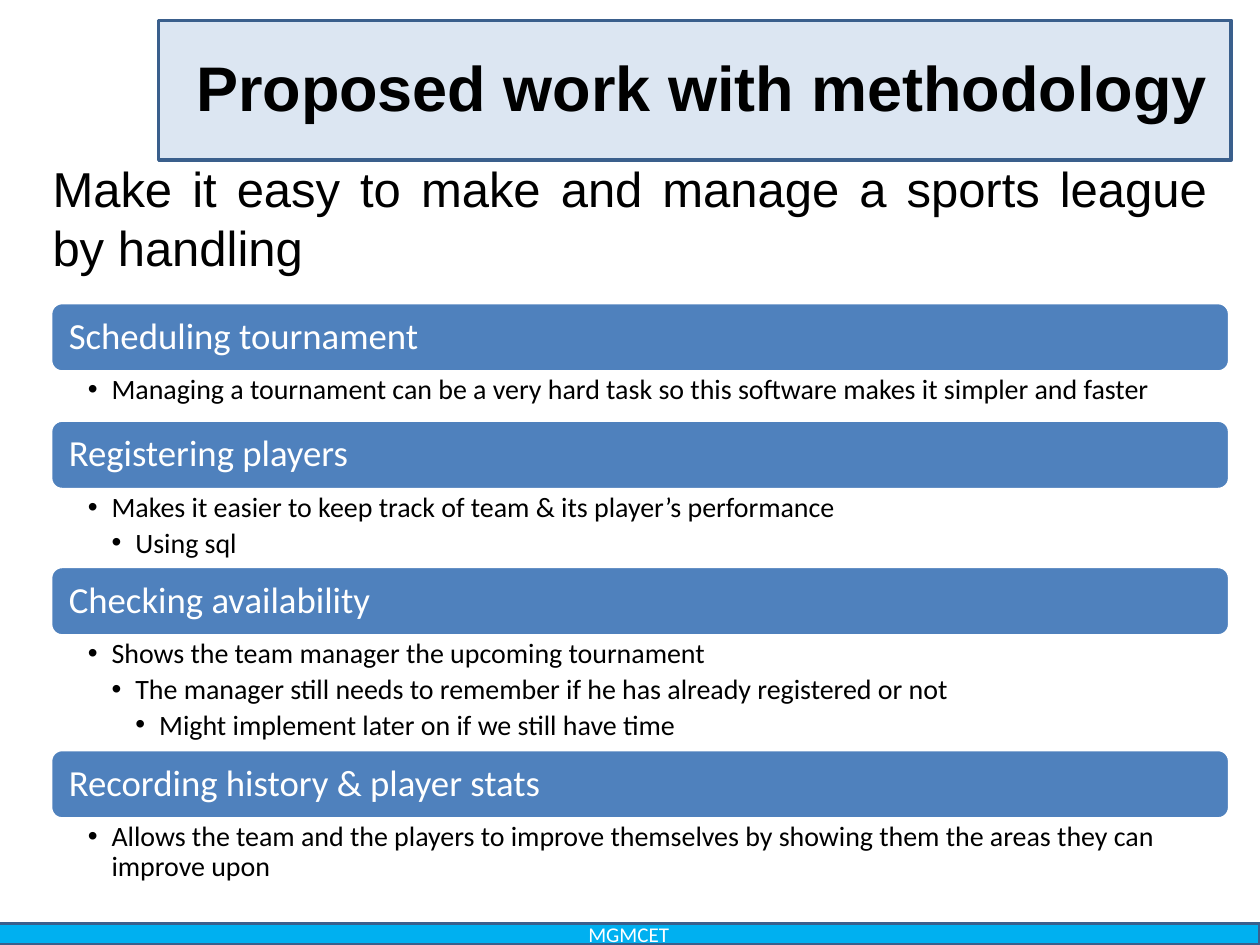
from lxml import etree
from pptx import Presentation
from pptx.dml.color import RGBColor
from pptx.enum.shapes import MSO_SHAPE
from pptx.enum.text import MSO_ANCHOR, PP_ALIGN
from pptx.oxml.ns import qn
from pptx.util import Cm, Pt

RECTANGLE, ROUNDED = MSO_SHAPE.RECTANGLE, MSO_SHAPE.ROUNDED_RECTANGLE
TOP, MIDDLE = MSO_ANCHOR.TOP, MSO_ANCHOR.MIDDLE
LEFT, CENTER, JUSTIFY = PP_ALIGN.LEFT, PP_ALIGN.CENTER, PP_ALIGN.JUSTIFY

BLACK = RGBColor(0x00, 0x00, 0x00)
WHITE = RGBColor(0xFF, 0xFF, 0xFF)
PALE_BLUE = RGBColor(0xDC, 0xE6, 0xF2)
DARK_BLUE = RGBColor(0x3A, 0x5F, 0x8C)
BAR_BLUE = RGBColor(0x4F, 0x81, 0xBD)
FOOTER_BLUE = RGBColor(0x00, 0xB0, 0xF0)

BAR_HEIGHT = 1.4
BULLET_INDENT = 0.48

TOPICS = [
    ("Scheduling tournament", 0.97, [
        "Managing a tournament can be a very hard task so this software makes it simpler and faster",
    ]),
    ("Registering players", 1.55, [
        "Makes it easier to keep track of team & its player’s performance",
        "Using sql",
    ]),
    ("Checking availability", 2.29, [
        "Shows the team manager the upcoming tournament",
        "The manager still needs to remember if he has already registered or not",
        "Might implement later on if we still have time",
    ]),
    ("Recording history & player stats", 1.4, [
        "Allows the team and the players to improve themselves by showing them the areas they can improve upon",
    ]),
]


def add_panel(slide, preset, box, fill, line):
    panel = slide.shapes.add_shape(preset, *map(Cm, box))
    panel.shadow.inherit = False
    panel.fill.solid()
    panel.fill.fore_color.rgb = fill
    panel.line.color.rgb = line
    panel.line.width = Pt(2)
    return panel


def write(shape, lines, font, size, color, insets, align=LEFT, anchor=MIDDLE, bold=False):
    frame = shape.text_frame
    frame.word_wrap = True
    frame.vertical_anchor = anchor
    frame.margin_left, frame.margin_top, frame.margin_right, frame.margin_bottom = map(Cm, insets)
    frame.text = "\n".join(lines)
    for paragraph in frame.paragraphs:
        paragraph.alignment = align
        for run in paragraph.runs:
            run.font.name = font
            run.font.size = Pt(size)
            run.font.bold = bold
            run.font.color.rgb = color
    return frame.paragraphs


def add_bullet(paragraph, depth):
    paragraph.level = depth
    paragraph.line_spacing = 0.9
    paragraph.space_after = Pt(3.2)
    properties = paragraph._p.get_or_add_pPr()
    properties.set("marL", str(Cm(BULLET_INDENT * depth)))
    properties.set("indent", str(-Cm(BULLET_INDENT)))
    etree.SubElement(properties, qn("a:buFont")).set("typeface", "Arial")
    etree.SubElement(properties, qn("a:buChar")).set("char", "•")


def add_title(slide, box):
    banner = add_panel(slide, RECTANGLE, box, PALE_BLUE, DARK_BLUE)
    write(banner, ["Proposed work with methodology"], "Arial", 36, BLACK,
          (0.56, 0.13, 0.28, 0.28), CENTER, bold=True)


def add_introduction(slide, box):
    introduction = slide.shapes.add_textbox(*map(Cm, box))
    write(introduction, ["Make it easy to make and manage a sports league by handling"],
          "Arial", 28, BLACK, (0.25, 0.13, 0.25, 0.13), JUSTIFY)


def add_topics(slide, left, top, width):
    for heading, details_height, details in TOPICS:
        bar = add_panel(slide, ROUNDED, (left, top, width, BAR_HEIGHT), BAR_BLUE, WHITE)
        write(bar, [heading], "Calibri", 21, WHITE, (0.3, 0.3, 0.3, 0.3))[0].line_spacing = 0.9
        top += BAR_HEIGHT
        details_box = slide.shapes.add_textbox(Cm(left), Cm(top), Cm(width), Cm(details_height))
        paragraphs = write(details_box, details, "Calibri", 16, BLACK,
                           (0.75, 0.07, 0.41, 0.07), anchor=TOP)
        for depth, paragraph in enumerate(paragraphs, 1):
            add_bullet(paragraph, depth)
        top += details_height


def add_footer(slide, box):
    footer = add_panel(slide, RECTANGLE, box, FOOTER_BLUE, DARK_BLUE)
    write(footer, ["MGMCET"], "Calibri", 12, WHITE, (0.25, 0, 0.25, 0), CENTER)


def main():
    presentation = Presentation()
    presentation.slide_width, presentation.slide_height = Cm(25.4), Cm(19.05)
    slide = presentation.slides.add_slide(presentation.slide_layouts[6])
    add_title(slide, (3.2, 0.41, 21.62, 2.82))
    add_footer(slide, (-0.05, 18.62, 25.45, 0.43))
    add_topics(slide, 1.02, 6.1, 23.77)
    add_introduction(slide, (0.81, 3.07, 23.77, 2.64))
    presentation.save("out.pptx")


if __name__ == "__main__":
    main()
